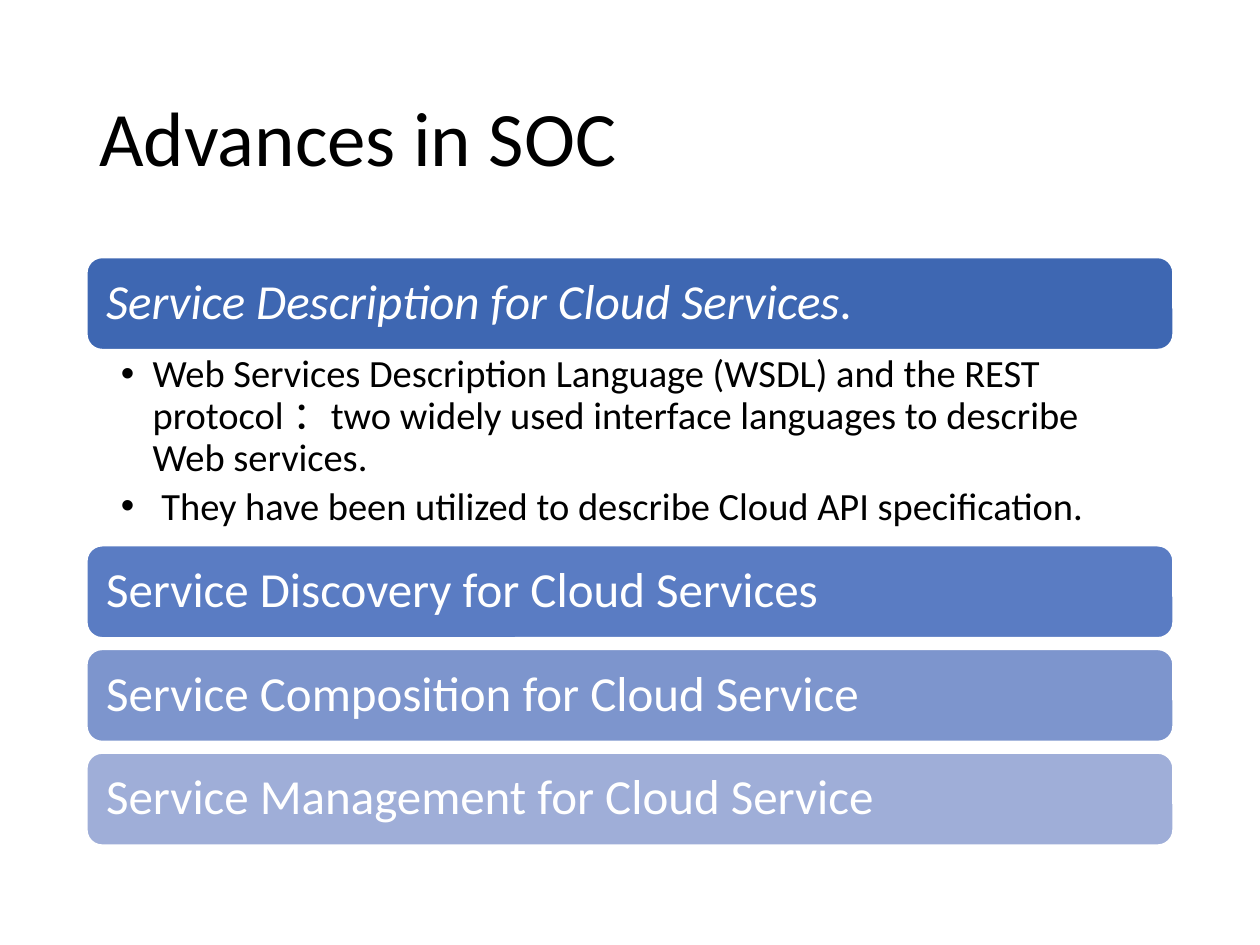
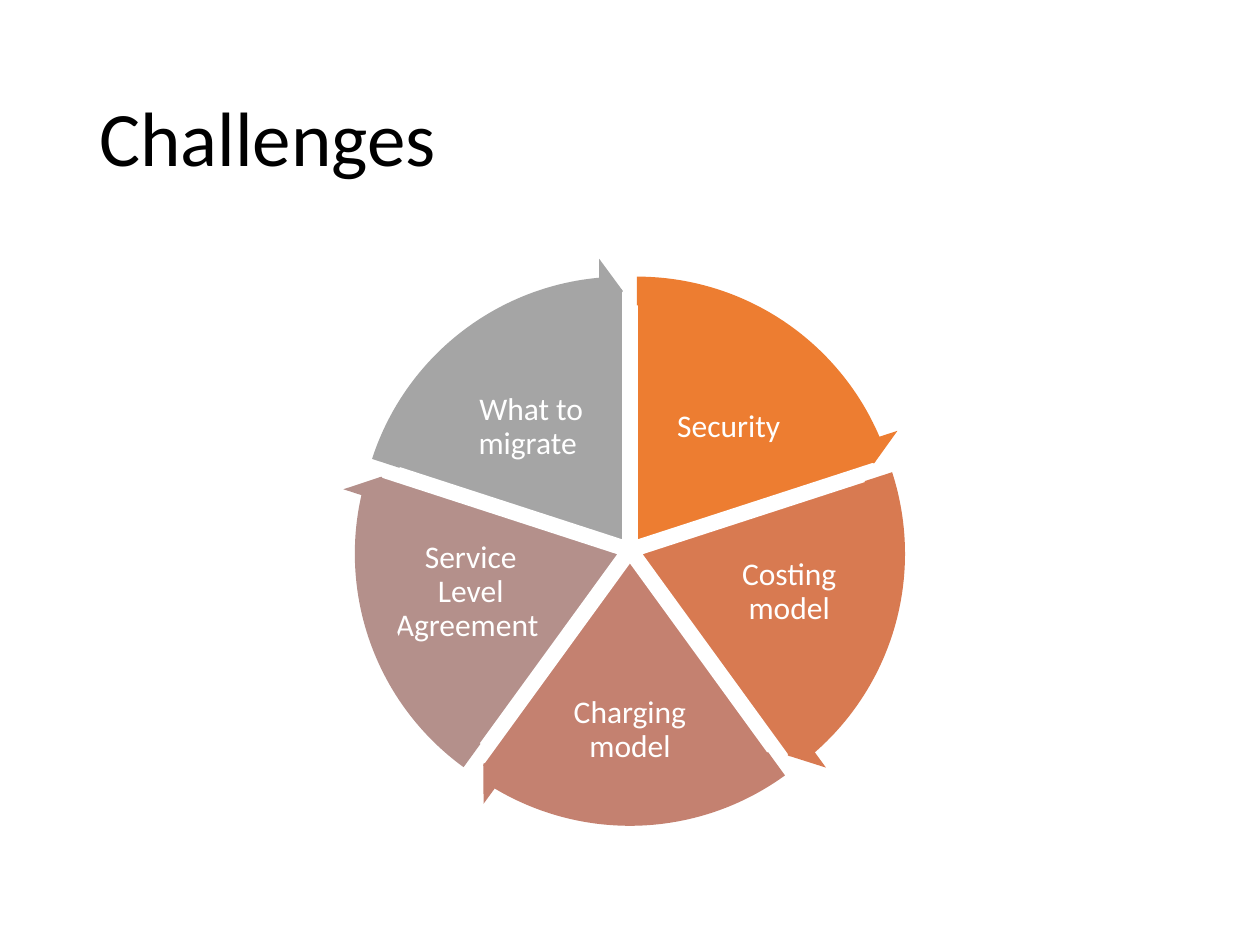
from dataclasses import dataclass
from math import cos, radians, sin

from lxml.etree import SubElement
from pptx import Presentation
from pptx.dml.color import RGBColor
from pptx.enum.shapes import MSO_SHAPE
from pptx.enum.text import MSO_ANCHOR, PP_ALIGN
from pptx.oxml.ns import qn
from pptx.util import Cm, Pt


@dataclass(frozen=True)
class Theme:
    """Colours, font and type sizes shared by the slides."""

    font: str = "Calibri"
    ink: str = "000000"
    paper: str = "FFFFFF"
    blues: tuple = ("3E67B2", "5A7CC3", "7D95CD", "9FAED8")
    warms: tuple = ("ED7D31", "D87A51", "C48170", "B4908B", "A5A5A5")
    title: int = 44
    bar: int = 28
    bullet: int = 22
    label: int = 18


@dataclass(frozen=True)
class Box:
    """A region of the slide in centimetres."""

    left: float
    top: float
    width: float
    height: float

    @classmethod
    def around(cls, x, y, width, height):
        """Return the box of this size centred on a point."""
        return cls(x - width / 2, y - height / 2, width, height)

    def lengths(self):
        """Return left, top, width and height as slide lengths."""
        return Cm(self.left), Cm(self.top), Cm(self.width), Cm(self.height)


THEME = Theme()
TITLE_BOX = Box(1.75, 1.02, 21.9, 3.68)
CONTENT_BOX = Box(1.75, 5.19, 21.9, 11.8)

ADVANCES = [
    ([("Service Description for Cloud Services", True), (".", False)],
     ["Web Services Description Language (WSDL) and the REST protocol "
      "：two widely used interface languages to describe Web services.",
      " They have been utilized to describe Cloud API specification."]),
    ([("Service Discovery for Cloud Services", False)], []),
    ([("Service Composition for Cloud Service", False)], []),
    ([("Service Management for Cloud Service", False)], []),
]

UPPER_LABEL = (1.99, -2.47, 3.25, 2.18)
SIDE_LABEL = (3.21, 0.85, 3.2, 2.41)
LOWER_LABEL = (0, 3.64, 2.9, 2.67)
CHALLENGES = [
    ("Security", UPPER_LABEL, 1),
    ("Costing model", SIDE_LABEL, 1),
    ("Charging model", LOWER_LABEL, 1),
    ("Service Level Agreement ", SIDE_LABEL, -1),
    ("What to migrate ", UPPER_LABEL, -1),
]


def set_frame(shape, insets, anchor=MSO_ANCHOR.MIDDLE):
    """Wrap the text of a shape and set its insets and anchor."""
    frame = shape.text_frame
    frame.word_wrap = True
    frame.vertical_anchor = anchor
    (frame.margin_left, frame.margin_top,
     frame.margin_right, frame.margin_bottom) = map(Cm, insets)
    return frame


def write(paragraph, runs, size, colour, align=PP_ALIGN.LEFT):
    """Fill a paragraph with (text, italic) runs."""
    paragraph.alignment = align
    paragraph.line_spacing = 0.9
    for text, italic in runs:
        run = paragraph.add_run()
        run.text = text
        run.font.name = THEME.font
        run.font.size = Pt(size)
        run.font.italic = italic
        run.font.color.rgb = RGBColor.from_string(colour)


def add_filled(slide, kind, box, colour, outlined=True):
    """Add a flat preset shape, with or without a thin pale outline."""
    shape = slide.shapes.add_shape(kind, *box.lengths())
    shape.shadow.inherit = False
    shape.fill.solid()
    shape.fill.fore_color.rgb = RGBColor.from_string(colour)
    if outlined:
        shape.line.color.rgb = RGBColor.from_string(THEME.paper)
        shape.line.width = Pt(1)
    else:
        shape.line.fill.background()
    return shape


def set_adjustments(shape, values):
    """Set the adjustments of a preset shape in order."""
    for index, value in enumerate(values):
        shape.adjustments[index] = value


def add_title(slide, box, text):
    """Place the slide title in its box."""
    title = slide.shapes.add_textbox(*box.lengths())
    frame = set_frame(title, (0.25, 0.13, 0.25, 0.13))
    write(frame.paragraphs[0], [(text, False)], THEME.title, THEME.ink)


def add_bullets(slide, box, points):
    """Place the bulleted points that explain a topic."""
    body = slide.shapes.add_textbox(*box.lengths())
    frame = set_frame(body, (0.69, 0.1, 0.56, 0.1), MSO_ANCHOR.TOP)
    for index, point in enumerate(points):
        paragraph = frame.add_paragraph() if index else frame.paragraphs[0]
        paragraph.space_after = Pt(4.4)
        paragraph.line_spacing = 0.9
        properties = paragraph._p.get_or_add_pPr()
        properties.set("marL", str(Cm(0.64)))
        properties.set("indent", str(-Cm(0.64)))
        SubElement(properties, qn("a:buFont"), typeface="Arial")
        SubElement(properties, qn("a:buChar"), char="•")
        write(paragraph, [(point, False)], THEME.bullet, THEME.ink)


def add_topic_bars(slide, box, topics):
    """Stack topic bars down the box, with points under those that have any."""
    bar_height, body_height, gap = 1.86, 3.95, 0.23
    top = box.top
    for (heading, points), colour in zip(topics, THEME.blues):
        bar_box = Box(box.left, top, box.width, bar_height)
        bar = add_filled(slide, MSO_SHAPE.ROUNDED_RECTANGLE, bar_box, colour)
        frame = set_frame(bar, (0.3, 0.3, 0.3, 0.3))
        write(frame.paragraphs[0], heading, THEME.bar, THEME.paper)
        top += bar_height
        if points:
            body_box = Box(box.left, top, box.width, body_height)
            add_bullets(slide, body_box, points)
            top += body_height
        else:
            top += gap


def add_cycle(slide, box, challenges):
    """Draw a wheel of equal slices, each edged by a clockwise arrow."""
    pie_size, ring_size, spread = 10.16, 11.4, 0.24
    units_per_degree, head_angle = 0.6, 3.275
    hub_x, hub_y = box.left + box.width / 2, box.top + box.height / 2
    sweep = 360 / len(challenges)
    rings = []
    for index, (text, label, side) in enumerate(challenges):
        colour = THEME.warms[index]
        begin = (270 + index * sweep) % 360
        end = (begin + sweep) % 360
        middle = radians(begin + sweep / 2)
        x, y = hub_x + spread * cos(middle), hub_y + spread * sin(middle)
        start_value, end_value = begin * units_per_degree, end * units_per_degree

        pie_box = Box.around(x, y, pie_size, pie_size)
        pie = add_filled(slide, MSO_SHAPE.PIE, pie_box, colour)
        set_adjustments(pie, (start_value, end_value))
        rings.append((Box.around(x, y, ring_size, ring_size), colour,
                      start_value, end_value))

        across, down, width, height = label
        label_box = Box.around(hub_x + side * across, hub_y + down, width, height)
        caption = slide.shapes.add_textbox(*label_box.lengths())
        frame = set_frame(caption, (0.08, 0.08, 0.08, 0.08))
        write(frame.paragraphs[0], [(text, False)], THEME.label, THEME.paper,
              PP_ALIGN.CENTER)

    for ring_box, colour, start_value, end_value in rings:
        ring = add_filled(slide, MSO_SHAPE.CIRCULAR_ARROW, ring_box, colour, False)
        set_adjustments(ring, (0.051, head_angle, end_value - head_angle,
                               start_value, 0.059))


def main():
    """Build both slides and save the presentation."""
    deck = Presentation()
    deck.slide_width, deck.slide_height = Cm(25.4), Cm(19.05)
    for title, add_content, content in (
        ("Advances in SOC", add_topic_bars, ADVANCES),
        ("Challenges", add_cycle, CHALLENGES),
    ):
        slide = deck.slides.add_slide(deck.slide_layouts[6])
        add_title(slide, TITLE_BOX, title)
        add_content(slide, CONTENT_BOX, content)
    deck.save("out.pptx")


if __name__ == "__main__":
    main()
